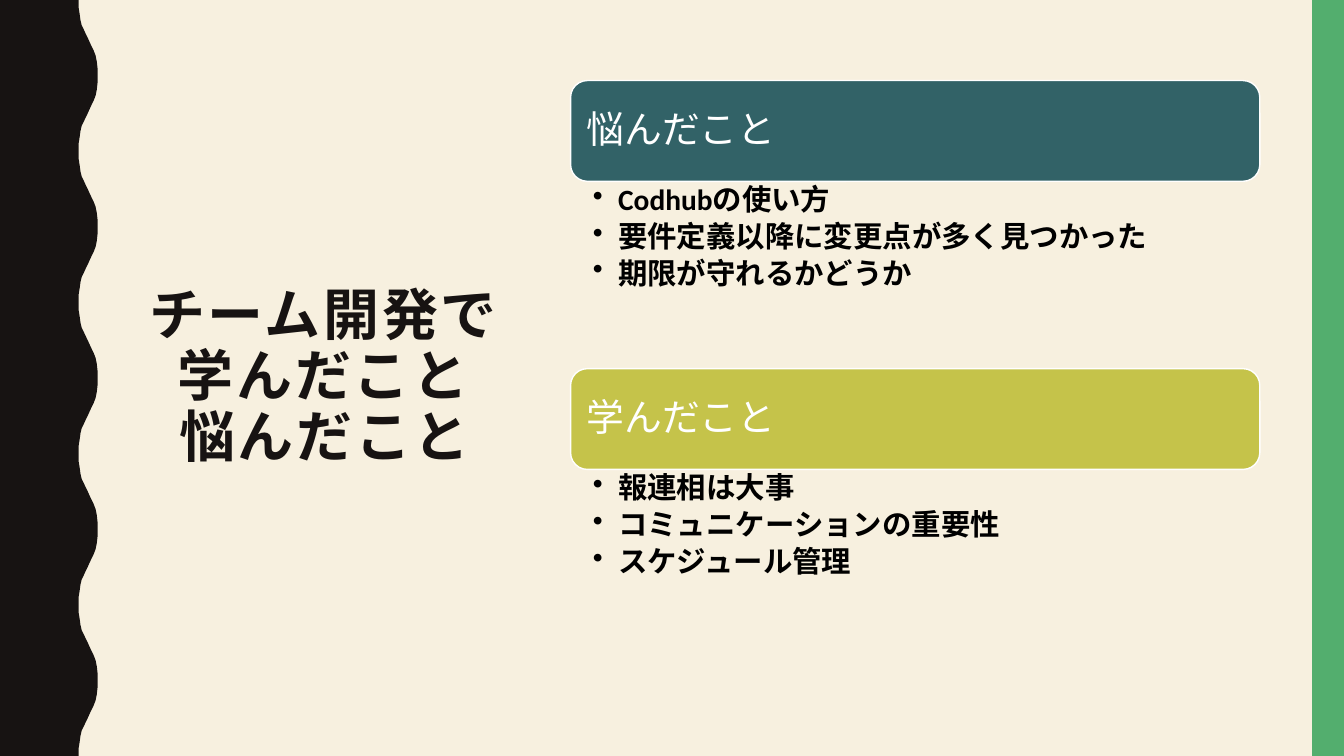
"""Build the slide on lessons and worries from team development."""
from dataclasses import dataclass

from lxml.etree import SubElement
from pptx import Presentation
from pptx.dml.color import RGBColor
from pptx.enum.shapes import MSO_SHAPE
from pptx.enum.text import MSO_ANCHOR, PP_ALIGN
from pptx.oxml.ns import qn
from pptx.shapes.autoshape import Shape
from pptx.slide import Slide
from pptx.text.text import TextFrame
from pptx.util import Cm, Pt


@dataclass(frozen=True)
class Theme:
    """Colours, fonts and type sizes."""
    paper: str = "F7F0DF"
    ink: str = "171312"
    green: str = "53AE6E"
    teal: str = "326267"
    olive: str = "C5C34A"
    white: str = "FFFFFF"
    black: str = "000000"
    title_font: str = "Noto Sans CJK JP"
    body_font: str = "Calibri"
    title_size: float = 40
    heading_size: float = 27
    bullet_size: float = 21


@dataclass(frozen=True)
class Topic:
    """A heading bar and the bullets under it."""
    heading: str
    color: str
    bullets: tuple[str, ...]


THEME = Theme()
WIDTH, HEIGHT = 33.87, 19.05
WAVES = 5
HALF_WAVE = HEIGHT / WAVES / 2
WAVE_PROFILE = (
    (1.98, 0), (1.98, 0.18), (2.01, 0.36), (2.03, 0.51), (2.06, 0.64),
    (2.11, 0.74), (2.16, 0.85), (2.21, 0.95), (2.26, 1.06), (2.31, 1.17),
    (2.36, 1.27), (2.41, 1.4), (2.44, 1.55), (2.46, 1.73),
)
CARD_LEFT, CARD_TOP, CARD_WIDTH, CARD_PITCH = 14.38, 2.03, 17.37, 7.26
BAR_HEIGHT = 2.54
TOPICS = (
    Topic("悩んだこと", THEME.teal,
          ("Codhubの使い方", "要件定義以降に変更点が多く見つかった", "期限が守れるかどうか")),
    Topic("学んだこと", THEME.olive,
          ("報連相は大事", "コミュニケーションの重要性", "スケジュール管理")),
)


def paint(shape: Shape, color: str) -> None:
    """Give a shape a flat fill without line or shadow."""
    shape.shadow.inherit = False
    shape.fill.solid()
    shape.fill.fore_color.rgb = RGBColor.from_string(color)
    shape.line.fill.background()


def set_frame(frame: TextFrame, anchor: MSO_ANCHOR, left: float, top: float, right: float) -> None:
    """Set wrapping, anchoring and insets of a text frame."""
    frame.word_wrap = True
    frame.vertical_anchor = anchor
    frame.margin_left, frame.margin_right = Cm(left), Cm(right)
    frame.margin_top = frame.margin_bottom = Cm(top)


def style_runs(frame: TextFrame, font: str, size: float, color: str, bold: bool, spacing: float = 0) -> None:
    """Format every run in a text frame."""
    for para in frame.paragraphs:
        for span in para.runs:
            span.font.name = font
            span.font.size = Pt(size)
            span.font.bold = bold
            span.font.color.rgb = RGBColor.from_string(color)
            properties = span._r.get_or_add_rPr()
            SubElement(properties, qn("a:ea")).set("typeface", font)
            if spacing:
                properties.set("spc", str(round(spacing * 100)))


def draw_wave(page: Slide) -> None:
    """Draw the dark band with the wavy right edge."""
    mirrored = [(2.46, HALF_WAVE)] + [(x, 2 * HALF_WAVE - y) for x, y in WAVE_PROFILE[:0:-1]]
    edge = [(x, y + 2 * HALF_WAVE * wave)
            for wave in range(WAVES) for x, y in [*WAVE_PROFILE, *mirrored]]
    outline = [*edge, (1.98, HEIGHT), (0, HEIGHT)]
    builder = page.shapes.build_freeform(0, 0)
    builder.add_line_segments([(Cm(x), Cm(y)) for x, y in outline], close=True)
    paint(builder.convert_to_shape(), THEME.ink)


def draw_title(page: Slide) -> None:
    """Write the three-line title."""
    box = page.shapes.add_textbox(Cm(3.48), Cm(2.72), Cm(9.4), Cm(13.56))
    frame = box.text_frame
    set_frame(frame, MSO_ANCHOR.MIDDLE, 0, 0.13, 0)
    frame.text = "チーム開発で\v学んだこと\v悩んだこと"
    para = frame.paragraphs[0]
    para.alignment = PP_ALIGN.CENTER
    para.line_spacing = Pt(43.6)
    style_runs(frame, THEME.title_font, THEME.title_size, THEME.ink, True, 2)


def draw_topic(page: Slide, topic: Topic, top: float) -> None:
    """Draw one heading bar with its bullet list."""
    bar = page.shapes.add_shape(MSO_SHAPE.ROUNDED_RECTANGLE, Cm(CARD_LEFT), Cm(top),
                                Cm(CARD_WIDTH), Cm(BAR_HEIGHT))
    paint(bar, topic.color)
    bar.line.color.rgb = RGBColor.from_string(THEME.white)
    bar.line.width = Pt(1)
    set_frame(bar.text_frame, MSO_ANCHOR.MIDDLE, 0.28, 0.28, 0.28)
    bar.text_frame.text = topic.heading
    heading = bar.text_frame.paragraphs[0]
    heading.alignment = PP_ALIGN.LEFT
    heading.line_spacing = 0.9
    style_runs(bar.text_frame, THEME.body_font, THEME.heading_size, THEME.white, False)

    box = page.shapes.add_textbox(Cm(CARD_LEFT), Cm(top + BAR_HEIGHT), Cm(CARD_WIDTH), Cm(4.72))
    frame = box.text_frame
    set_frame(frame, MSO_ANCHOR.TOP, 0.56, 0.1, 0.53)
    frame.text = "\n".join(topic.bullets)
    for para in frame.paragraphs:
        para.line_spacing = 0.9
        para.space_after = Pt(3.6)
        properties = para._p.get_or_add_pPr()
        properties.set("marL", str(Cm(0.64)))
        properties.set("indent", str(Cm(-0.64)))
        SubElement(properties, qn("a:buChar")).set("char", "•")
    style_runs(frame, THEME.body_font, THEME.bullet_size, THEME.black, True)


def main() -> None:
    """Build and save the deck."""
    deck = Presentation()
    deck.slide_width, deck.slide_height = Cm(WIDTH), Cm(HEIGHT)
    page = deck.slides.add_slide(deck.slide_layouts[6])
    page.background.fill.solid()
    page.background.fill.fore_color.rgb = RGBColor.from_string(THEME.paper)
    draw_wave(page)
    stripe = page.shapes.add_shape(MSO_SHAPE.RECTANGLE, Cm(33.07), Cm(0), Cm(0.8), Cm(HEIGHT))
    paint(stripe, THEME.green)
    draw_title(page)
    for index, topic in enumerate(TOPICS):
        draw_topic(page, topic, CARD_TOP + index * CARD_PITCH)
    deck.save("out.pptx")


if __name__ == "__main__":
    main()
